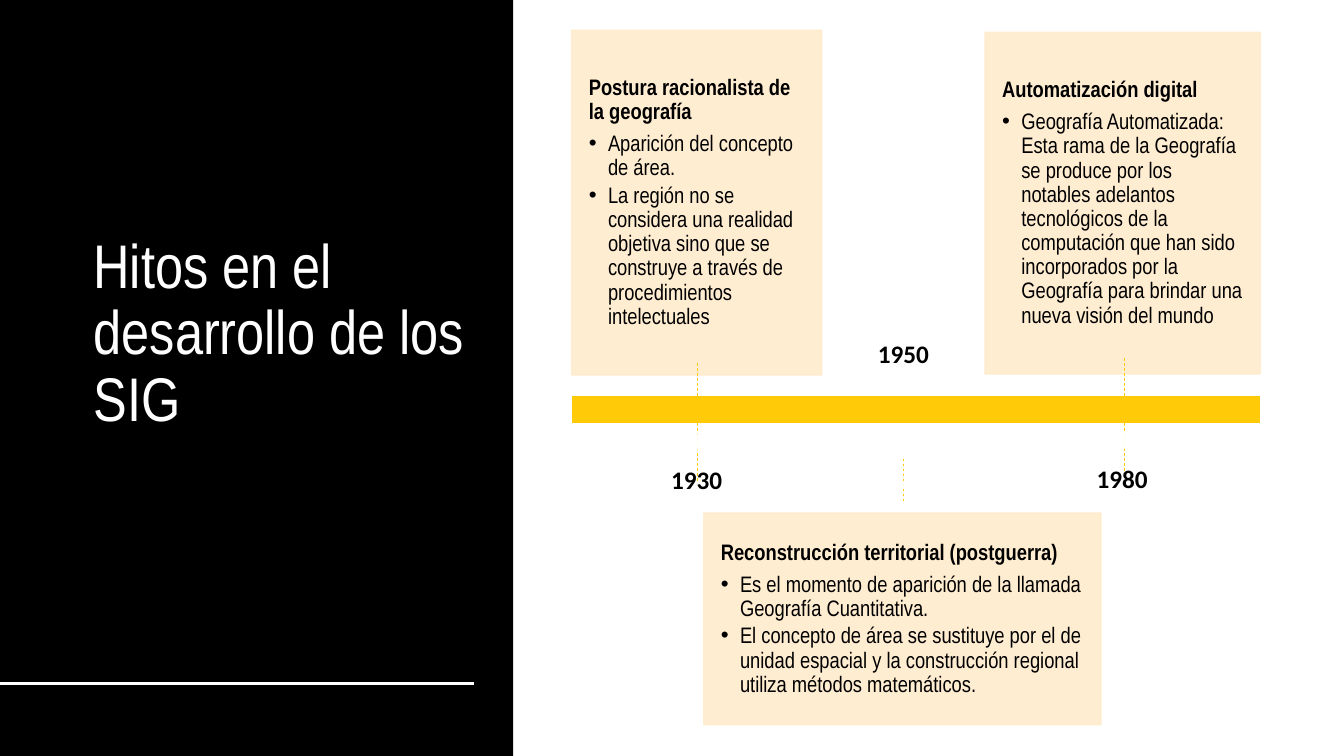
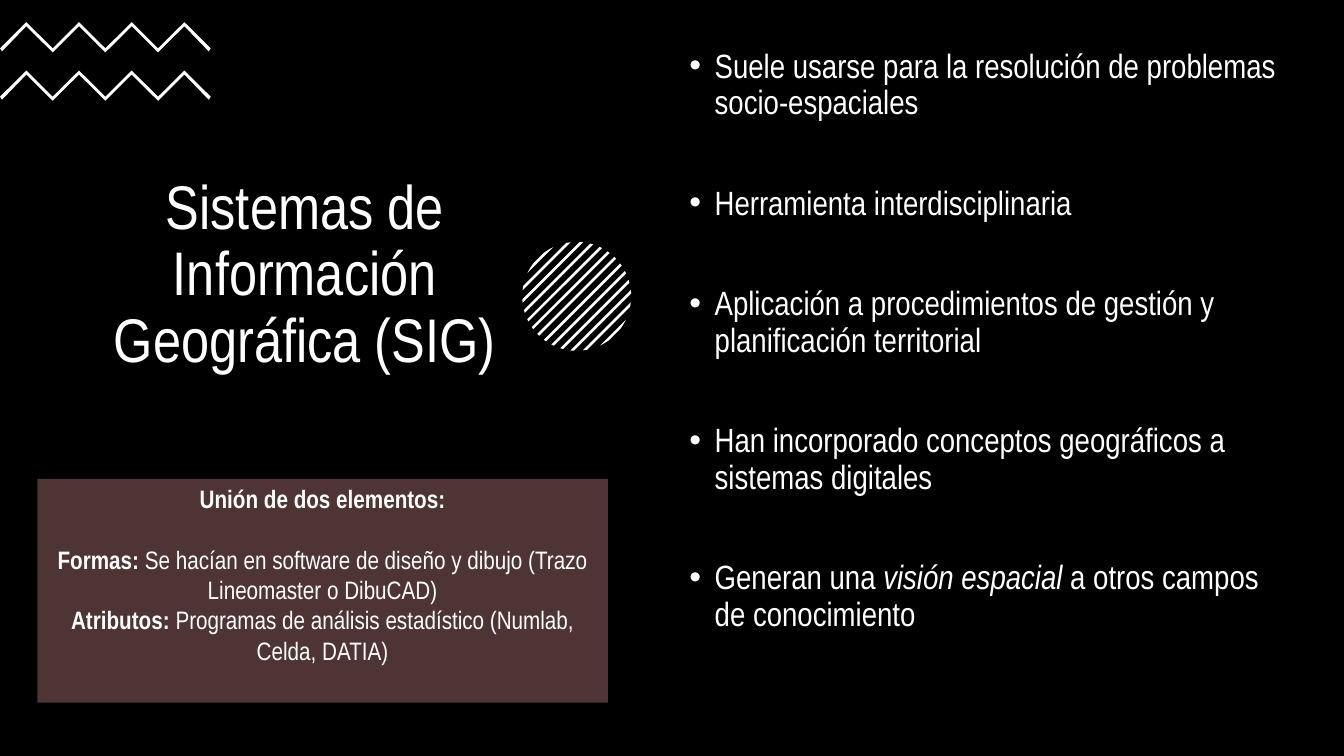
from dataclasses import dataclass
from math import sqrt
from lxml.etree import SubElement
from pptx import Presentation
from pptx.dml.color import RGBColor
from pptx.enum.dml import MSO_LINE
from pptx.enum.shapes import MSO_CONNECTOR, MSO_SHAPE
from pptx.enum.text import MSO_ANCHOR, PP_ALIGN
from pptx.oxml.ns import qn
from pptx.util import Inches, Pt

HUES = {"black": "000000", "white": "FFFFFF", "gold": "FFCA08",
        "cream": "FFECCC", "brown": "4F3434"}
FACE = "Arial Narrow"
WIDE, HIGH = 13.33, 7.5
Box = tuple[float, float, float, float]


@dataclass
class Para:
    texts: list[tuple[str, str]]  # text and mark: "b", "i" or ""
    indent: float = 0  # a bullet hangs in it
    before: float = 0
    after: float = 0


@dataclass
class Style:
    size: float
    hue: str
    face: str = FACE
    align: PP_ALIGN = PP_ALIGN.LEFT
    anchor: MSO_ANCHOR = MSO_ANCHOR.TOP
    space: float = 0.9
    inset: tuple[float, float] = (0.1, 0.05)


@dataclass
class Card:
    box: Box
    head: str
    points: list[str]


@dataclass
class Year:
    text: str
    box: Box
    anchor: MSO_ANCHOR
    stem: Box  # x, top, x, bottom
    dot: Box


def tint(name: str) -> RGBColor:
    return RGBColor.from_string(HUES[name])


def fade(fill, amount: int) -> None:
    """Make a solid colour partly clear."""
    node = fill._xPr.find(qn("a:solidFill"))[0]
    SubElement(node, qn("a:alpha"), val=str(amount * 1000))


def paint(shape, hue: str, edge: str = "", alpha: int = 100) -> None:
    shape.shadow.inherit = False
    shape.fill.solid()
    shape.fill.fore_color.rgb = tint(hue)
    if edge:
        shape.line.color.rgb = tint(edge)
        shape.line.width = Pt(1)
    else:
        shape.line.fill.background()
    if alpha < 100:
        fade(shape.fill, alpha)
        if edge:
            fade(shape.line.fill, alpha)


def block(slide, box: Box, hue: str, edge: str = "", alpha: int = 100,
          kind=MSO_SHAPE.RECTANGLE):
    shape = slide.shapes.add_shape(kind, *map(Inches, box))
    paint(shape, hue, edge, alpha)
    return shape


def rule(slide, ends: Box, hue: str, width: float, dash=None) -> None:
    line = slide.shapes.add_connector(MSO_CONNECTOR.STRAIGHT, *map(Inches, ends))
    line.line.color.rgb = tint(hue)
    line.line.width = Pt(width)
    if dash:
        line.line.dash_style = dash
    SubElement(line._element.spPr, qn("a:effectLst"))


def trace(slide, dots: list[tuple[float, float]], hue: str) -> None:
    dots = [(Inches(x), Inches(y)) for x, y in dots]
    form = slide.shapes.build_freeform(*dots[0])
    form.add_line_segments(dots[1:], close=True)
    paint(form.convert_to_shape(), hue)


def write(shape, paras: list[Para], style: Style) -> None:
    frame = shape.text_frame
    frame.word_wrap = True
    frame.vertical_anchor = style.anchor
    frame.margin_left = frame.margin_right = Inches(style.inset[0])
    frame.margin_top = frame.margin_bottom = Inches(style.inset[1])
    frame.text = "\n".join("" for _ in paras)
    for item, para in zip(paras, frame.paragraphs):
        if item.indent:
            props = para._p.get_or_add_pPr()
            props.set("marL", str(Inches(item.indent)))
            props.set("indent", str(-Inches(item.indent)))
            SubElement(props, qn("a:buFont"), typeface="Arial")
            SubElement(props, qn("a:buChar"), char="•")
        para.alignment = style.align
        para.line_spacing = style.space
        para.space_before = Pt(item.before)
        para.space_after = Pt(item.after)
        for text, mark in item.texts:
            run = para.add_run()
            run.text = text
            font = run.font
            font.size, font.name = Pt(style.size), style.face
            font.color.rgb = tint(style.hue)
            font.bold, font.italic = mark == "b", mark == "i"


def label(slide, box: Box, paras: list[Para], style: Style) -> None:
    write(slide.shapes.add_textbox(*map(Inches, box)), paras, style)


def title(slide, box: Box, lines: list[str], align=PP_ALIGN.LEFT) -> None:
    style = Style(44, "white", align=align, anchor=MSO_ANCHOR.MIDDLE)
    label(slide, box, [Para([])], style)
    para = slide.shapes[-1].text_frame.paragraphs[0]
    para.text = "\v".join(lines)
    for run in para.runs:
        run.font.size, run.font.name = Pt(style.size), style.face
        run.font.color.rgb = tint(style.hue)


# Timeline content
CARDS = [
    Card((5.67, 0.3, 2.48, 3.42), "Postura racionalista de la geografía",
         ["Aparición del concepto de área.",
          "La región no se considera una realidad objetiva sino que se "
          "construye a través de procedimientos intelectuales"]),
    Card((6.98, 5.09, 3.94, 2.1), "Reconstrucción territorial (postguerra)",
         ["Es el momento de aparición de la llamada Geografía Cuantitativa.",
          "El concepto de área se sustituye por el de unidad espacial y la "
          "construcción regional utiliza métodos matemáticos."]),
    Card((9.77, 0.32, 2.73, 3.39), "Automatización digital",
         ["Geografía Automatizada: Esta rama de la Geografía se produce por "
          "los notables adelantos tecnológicos de la computación que han sido "
          "incorporados por la Geografía para brindar una nueva visión del "
          "mundo"]),
]
YEARS = [
    Year("1930", (5.98, 4.64, 1.86, 0.78), MSO_ANCHOR.TOP,
         (6.92, 3.6, 6.92, 4.77), (6.83, 4.3, 0.17, 0.17)),
    Year("1950", (8.03, 3.38, 1.86, 0.28), MSO_ANCHOR.BOTTOM,
         (8.96, 4.55, 8.96, 4.97), (8.91, 4.77, 0.17, 0.06)),
    Year("1980", (10.2, 4.63, 1.86, 0.77), MSO_ANCHOR.TOP,
         (11.15, 3.55, 11.15, 4.71), (11.04, 4.29, 0.17, 0.17)),
]

# System content
USES = [
    [("Suele usarse para la resolución de problemas socio-espaciales", "")],
    [("Herramienta interdisciplinaria", "")],
    [("Aplicación a procedimientos de gestión y planificación territorial", "")],
    [("Han incorporado conceptos geográficos a sistemas digitales", "")],
    [("Generan una ", ""), ("visión espacial ", "i"),
     ("a otros campos de conocimiento", "")],
]
UNION = [
    Para([("Unión de dos elementos:", "b")]),
    Para([("Formas: ", "b"),
          ("Se hacían en software de diseño y dibujo (Trazo Lineomaster o "
           "DibuCAD)", "")], before=21.5),
    Para([("Atributos: ", "b"),
          ("Programas de análisis estadístico (Numlab, Celda, DATIA)", "")]),
]


def draw_card(slide, card: Card) -> None:
    shape = block(slide, card.box, "cream", "cream", 90)
    paras = [Para([(card.head, "b")], after=5.6)]
    paras += [Para([(text, "")], indent=0.19, after=2.4) for text in card.points]
    write(shape, paras, Style(16, "black", anchor=MSO_ANCHOR.MIDDLE,
                              inset=(0.17, 0.17)))


def draw_year(slide, year: Year) -> None:
    rule(slide, year.stem, "gold", 0.5, MSO_LINE.DASH)
    block(slide, year.dot, "white", alpha=90, kind=MSO_SHAPE.OVAL)
    style = Style(18, "black", "Calibri", PP_ALIGN.CENTER, year.anchor,
                  inset=(0, 0))
    label(slide, year.box, [Para([(year.text, "b")])], style)


def zigzag(slide, top: float) -> None:
    count, width, rise = 8, 2.09, 0.26
    upper = [(i * width / count, top + rise * (i % 2 == 0))
             for i in range(count + 1)]
    lower = [(x, y + 0.04) for x, y in upper]
    lower[0] = (0.02, top + 0.29)
    lower[-1] = (width - 0.02, top + 0.29)
    trace(slide, upper + lower[::-1], "white")


def disc(slide, mid: tuple[float, float], radius: float) -> None:
    """Diagonal stripes cut by a circle."""
    pitch, half, steps = 0.087, 0.013, 6
    for k in range(-6, 7):
        sides = ([], [])
        for i in range(steps + 1):
            off = k * pitch + half * (2 * i / steps - 1)
            reach = sqrt(max(radius ** 2 - off ** 2, 0))
            for side, way in zip(sides, (reach, -reach)):
                side.append((mid[0] + (off + way) / sqrt(2),
                             mid[1] + (off - way) / sqrt(2)))
        trace(slide, sides[0] + sides[1][::-1], "white")


def history(slide) -> None:
    # Side panel
    block(slide, (0, 0, 5.09, HIGH), "black")
    title(slide, (0.83, 0.61, 3.9, 5.42), ["Hitos en el desarrollo de los SIG"])
    rule(slide, (0, 6.78, 4.7, 6.78), "white", 2)
    # Timeline
    block(slide, (5.67, 3.92, 6.83, 0.28), "gold", "white")
    for card in CARDS:
        draw_card(slide, card)
    for year in YEARS:
        draw_year(slide, year)


def system(slide) -> None:
    # Ground and title
    block(slide, (0, 0, WIDE, HIGH), "black")
    title(slide, (0.94, 1.24, 4.17, 2.99),
          ["Sistemas de", "Información", "Geográfica (SIG)"], PP_ALIGN.CENTER)
    # Ornaments
    for top in (0.22, 0.7):
        zigzag(slide, top)
    disc(slide, (5.72, 2.94), 0.54)
    # Uses
    paras = [Para(texts, indent=0.25, before=46 if i else 0)
             for i, texts in enumerate(USES)]
    label(slide, (6.74, 0.44, 6.16, 4.76), paras, Style(24, "white"))
    # Two elements
    shape = block(slide, (0.37, 4.75, 5.66, 2.22), "brown")
    write(shape, UNION, Style(18, "white", align=PP_ALIGN.CENTER, space=1.0))


def main() -> None:
    deck = Presentation()
    deck.slide_width, deck.slide_height = Inches(WIDE), Inches(HIGH)
    for draw in (history, system):
        draw(deck.slides.add_slide(deck.slide_layouts[6]))
    deck.save("out.pptx")


if __name__ == "__main__":
    main()
